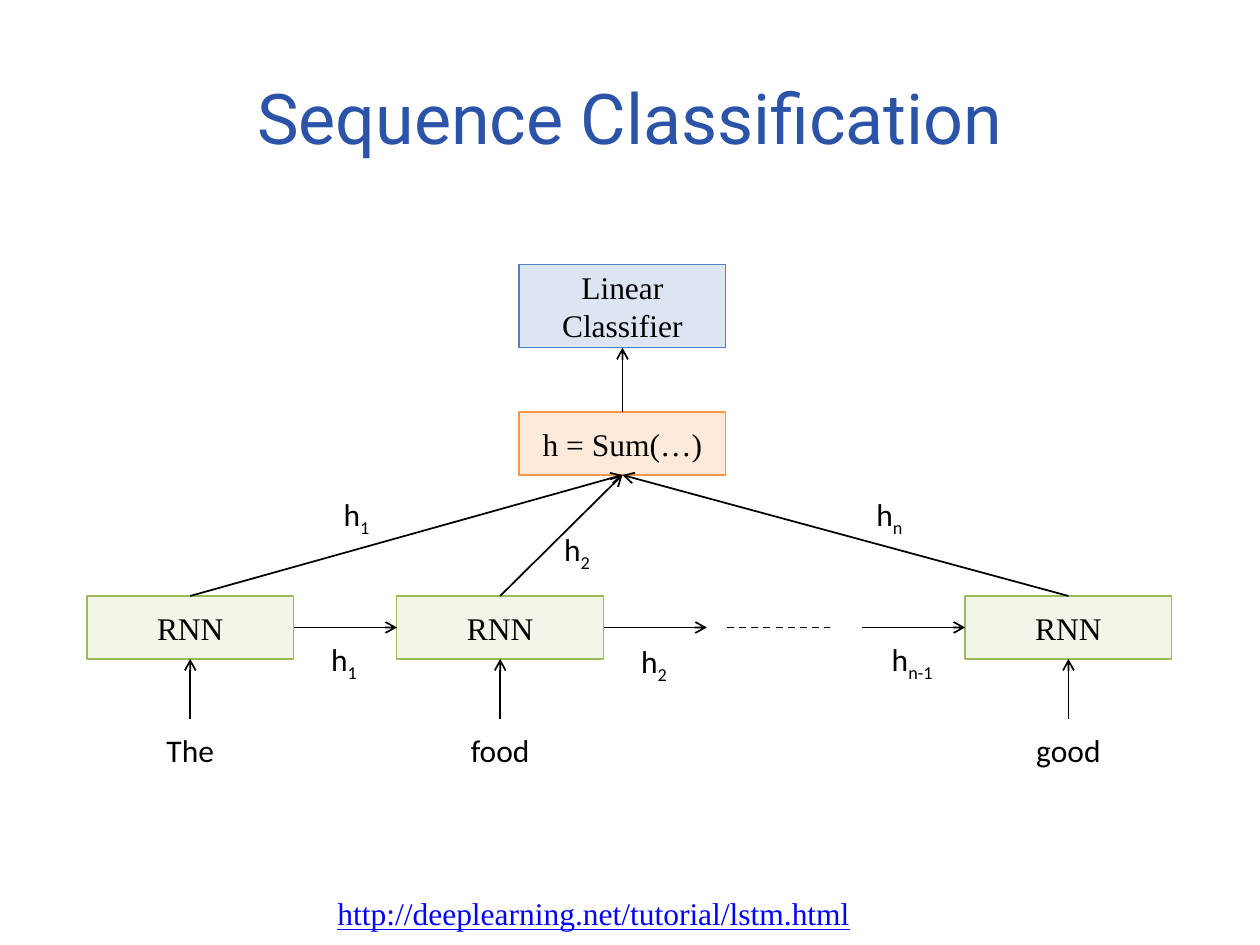
import pptx
import pptx.util
import pptx.dml.color
import pptx.enum.dml
import pptx.enum.shapes
import pptx.enum.text
import pptx.oxml
import pptx.oxml.ns

Inches = pptx.util.Inches
Pt = pptx.util.Pt
RGBColor = pptx.dml.color.RGBColor
PP_ALIGN = pptx.enum.text.PP_ALIGN
MIDDLE = pptx.enum.text.MSO_ANCHOR.MIDDLE

BLACK = RGBColor(0x00, 0x00, 0x00)
TITLE_BLUE = RGBColor(0x2B, 0x53, 0xA8)
LINK_BLUE = RGBColor(0x00, 0x00, 0xFF)
GREEN_FILL = RGBColor(0xD7, 0xE4, 0xBD)
GREEN_LINE = RGBColor(0x9B, 0xBB, 0x59)
ORANGE_FILL = RGBColor(0xFA, 0xC0, 0x90)
ORANGE_LINE = RGBColor(0xF7, 0x96, 0x46)
BLUE_FILL = RGBColor(0x95, 0xB3, 0xD7)
BLUE_LINE = RGBColor(0x4F, 0x81, 0xBD)

SERIF = {"name": "Times New Roman", "size": Pt(18)}
SANS = {"name": "Calibri", "size": Pt(18)}
TITLE = {"name": "Roboto", "size": Pt(40)}

BOX_WIDTH = Inches(1.64)
BOX_HEIGHT = Inches(0.5)
LABEL_HEIGHT = Inches(0.4)
STEP_LENGTH = Inches(0.82)
TOP, LEFT, BOTTOM, RIGHT = range(4)


def format_font(font, values, color=BLACK):
    for name, value in values.items():
        setattr(font, name, value)
    font.color.rgb = color


def add_box(slide, text, left, top, height, fill, line):
    """Add a bordered rectangle with a fill of 33 % opacity."""
    shape = slide.shapes.add_shape(
        pptx.enum.shapes.MSO_SHAPE.RECTANGLE, left, top, BOX_WIDTH, height)
    shape.shadow.inherit = False
    shape.fill.solid()
    shape.fill.fore_color.rgb = fill
    color = shape.fill._xPr.find(".//" + pptx.oxml.ns.qn("a:srgbClr"))
    pptx.oxml.xmlchemy.OxmlElement  # element factory used below
    alpha = pptx.oxml.xmlchemy.OxmlElement("a:alpha")
    alpha.set("val", "33000")
    color.append(alpha)
    shape.line.color.rgb = line
    shape.line.width = Pt(0.75)
    shape.text_frame.vertical_anchor = MIDDLE
    paragraph = shape.text_frame.paragraphs[0]
    paragraph.text = text
    paragraph.alignment = PP_ALIGN.CENTER
    format_font(paragraph.font, SERIF)
    return shape


def add_label(slide, center, top, text, subscript=""):
    width = Inches(0.8)
    label = slide.shapes.add_textbox(center - width // 2, top, width, LABEL_HEIGHT)
    label.text_frame.word_wrap = False
    paragraph = label.text_frame.paragraphs[0]
    paragraph.alignment = PP_ALIGN.CENTER
    for part in filter(None, (text, subscript)):
        run = paragraph.add_run()
        run.text = part
        format_font(run.font, SANS)
    if subscript:
        run.font._element.set("baseline", "-25000")


def add_line(slide, begin, end, source=None, target=None, arrow=True):
    """Draw a line; source and target are (shape, side) pairs to join."""
    line = slide.shapes.add_connector(
        pptx.enum.shapes.MSO_CONNECTOR.STRAIGHT, *begin, *end)
    if source:
        line.begin_connect(*source)
    if target:
        line.end_connect(*target)
    line.line.color.rgb = BLACK
    line.line.width = Pt(1)
    if arrow:
        tail = pptx.oxml.xmlchemy.OxmlElement("a:tailEnd")
        tail.set("type", "arrow")
        line.line._get_or_add_ln().append(tail)
    else:
        line.line.dash_style = pptx.enum.dml.MSO_LINE.DASH
    line._element.spPr.append(pptx.oxml.xmlchemy.OxmlElement("a:effectLst"))


def add_title(slide, left, top, width, height):
    title = slide.shapes.title
    box = {"left": left, "top": top, "width": width, "height": height}
    for name, value in box.items():
        setattr(title, name, value)
    frame = title.text_frame
    for side in ("left", "top", "right", "bottom"):
        setattr(frame, "margin_" + side, Inches(0.05))
    frame.vertical_anchor = MIDDLE
    paragraph = frame.paragraphs[0]
    paragraph.text = "Sequence Classification"
    paragraph.alignment = PP_ALIGN.CENTER
    format_font(paragraph.font, TITLE, TITLE_BLUE)


def add_classifier(slide, left, top):
    """Stack the classifier over the sum box and return the sum box."""
    classifier = add_box(slide, "Linear Classifier", left, top,
                         Inches(0.66), BLUE_FILL, BLUE_LINE)
    total = add_box(slide, "h = Sum(…)", left, top + Inches(1.17),
                    BOX_HEIGHT, ORANGE_FILL, ORANGE_LINE)
    add_line(slide, (0, 0), (0, 0), (total, TOP), (classifier, BOTTOM))
    return total


def add_sequence(slide, left, top, total):
    """Lay out the chain of cells, their words and their links to the sum."""
    middle = top + BOX_HEIGHT // 2
    cells = []
    for word, offset in (("The", 0), ("food", 2.46), ("good", 6.97)):
        cell_left = left + Inches(offset)
        center = cell_left + BOX_WIDTH // 2
        cell = add_box(slide, "RNN", cell_left, top, BOX_HEIGHT,
                       GREEN_FILL, GREEN_LINE)
        add_line(slide, (center, top + Inches(0.98)), (center, top + BOX_HEIGHT),
                 target=(cell, BOTTOM))
        add_label(slide, center, top + Inches(1.02), word)
        add_line(slide, (0, 0), (0, 0), (cell, TOP), (total, BOTTOM))
        cells.append(cell)

    first, second, last = cells
    steps = (
        (first.left + BOX_WIDTH, (first, RIGHT), (second, LEFT), "1", 0.3),
        (second.left + BOX_WIDTH, (second, RIGHT), None, "2", 0.32),
        (last.left - STEP_LENGTH, None, (last, LEFT), "n-1", 0.3),
    )
    for start, source, target, subscript, drop in steps:
        add_line(slide, (start, middle), (start + STEP_LENGTH, middle),
                 source, target)
        add_label(slide, start + Inches(0.4), top + Inches(drop), "h", subscript)
    gap_left = left + Inches(5.08)
    add_line(slide, (gap_left, middle), (gap_left + STEP_LENGTH, middle),
             arrow=False)

    for subscript, x, rise in (("1", 2.14, 0.85), ("2", 3.89, 0.57), ("n", 6.37, 0.85)):
        add_label(slide, left + Inches(x), top - Inches(rise), "h", subscript)


def add_source(slide, left, top, width):
    source = slide.shapes.add_textbox(left, top, width, LABEL_HEIGHT)
    source.text_frame.word_wrap = True
    paragraph = source.text_frame.paragraphs[0]
    run = paragraph.add_run()
    run.text = "http://deeplearning.net/tutorial/lstm.html"
    format_font(run.font, {**SERIF, "underline": True}, LINK_BLUE)


def main():
    presentation = pptx.Presentation()
    presentation.slide_width = Inches(10)
    presentation.slide_height = Inches(7.5)
    slide = presentation.slides.add_slide(presentation.slide_layouts[5])
    add_title(slide, Inches(0.5), Inches(0.3), Inches(9), Inches(1.25))
    total = add_classifier(slide, Inches(4.12), Inches(2.1))
    add_sequence(slide, Inches(0.69), Inches(4.73), total)
    add_source(slide, Inches(2.58), Inches(7.05), Inches(4.79))
    presentation.save("out.pptx")


if __name__ == "__main__":
    main()
